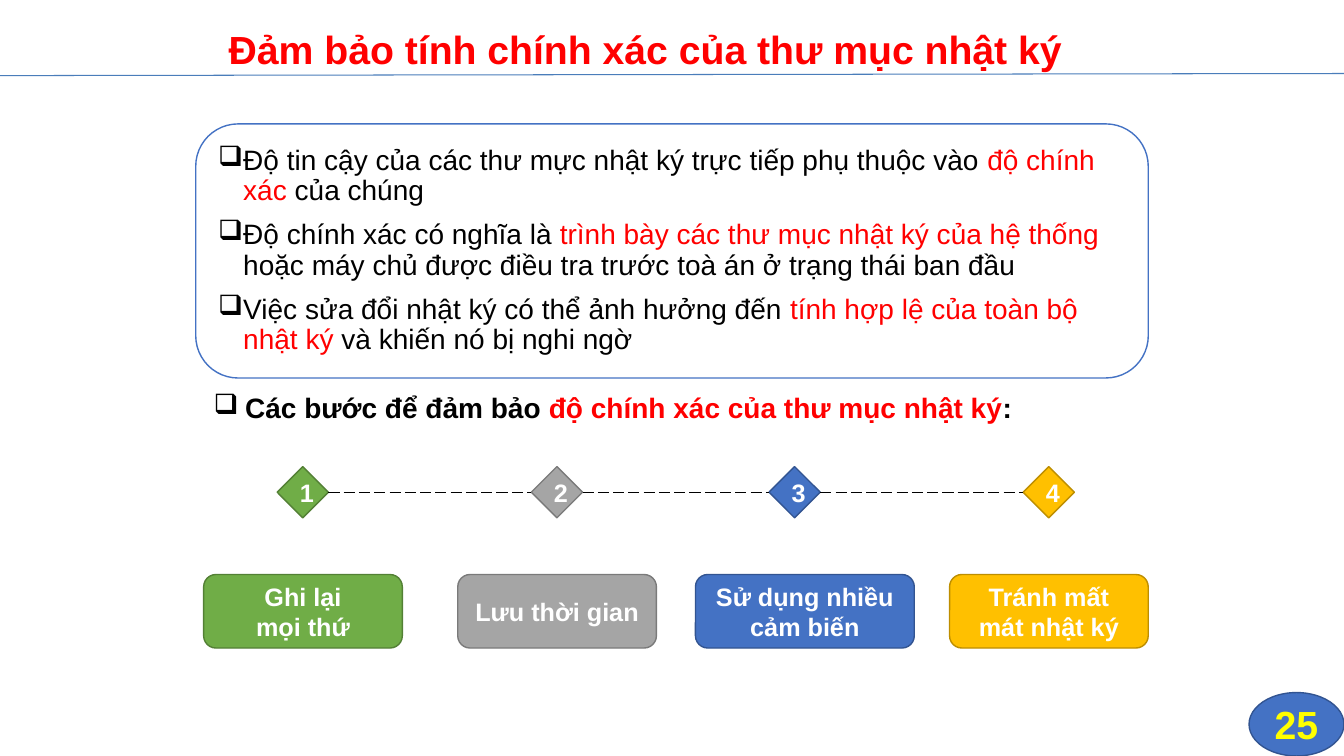
from dataclasses import dataclass
from itertools import pairwise

from lxml import etree
from pptx import Presentation
from pptx.dml.color import RGBColor
from pptx.enum.dml import MSO_LINE
from pptx.enum.shapes import MSO_CONNECTOR, MSO_SHAPE
from pptx.enum.text import MSO_ANCHOR, MSO_AUTO_SIZE, PP_ALIGN
from pptx.oxml.ns import qn
from pptx.util import Emu, Inches, Pt

ROUNDED, DIAMOND, OVAL = MSO_SHAPE.ROUNDED_RECTANGLE, MSO_SHAPE.DIAMOND, MSO_SHAPE.OVAL
STRAIGHT, LONG_DASH = MSO_CONNECTOR.STRAIGHT, MSO_LINE.LONG_DASH
LEFT, CENTER = PP_ALIGN.LEFT, PP_ALIGN.CENTER
TOP, MIDDLE = MSO_ANCHOR.TOP, MSO_ANCHOR.MIDDLE
GROW = MSO_AUTO_SIZE.SHAPE_TO_FIT_TEXT
LEFT_SIDE, RIGHT_SIDE = 1, 3

# The slide is a grid of 32 columns by 18 rows of square cells
COLUMNS, ROWS = 32, 18
CELL = Inches(7.5) / ROWS

FONT = "Arial"
BLACK, WHITE, RED, YELLOW = "000000", "FFFFFF", "FF0000", "FFFF00"
BLUE, DARK_BLUE, RULE_BLUE = "4472C4", "325491", "4A7DBA"


@dataclass(frozen=True)
class Area:
    column: float
    row: float
    columns: float
    rows: float


@dataclass(frozen=True)
class Span:
    text: str
    color: str = BLACK


@dataclass(frozen=True)
class Style:
    size: int
    bold: bool = True
    align: PP_ALIGN = LEFT
    anchor: MSO_ANCHOR = MIDDLE
    line_spacing: float = 1.0
    space_before: int = 0
    hanging: float = 0  # bullet indent in cells


@dataclass(frozen=True)
class Step:
    column: float
    columns: float
    lines: tuple[str, ...]
    fill: str
    border: str


TITLE = Style(28, line_spacing=0.9)
BODY = Style(20, bold=False, line_spacing=0.9, space_before=10, hanging=0.6)
HEADING = Style(20, anchor=TOP, hanging=0.75)
LABEL = Style(18, align=CENTER)
PAGE_NUMBER = Style(28, align=CENTER)

POINTS = [
    [Span("Độ tin cậy của các thư mực nhật ký trực tiếp phụ thuộc vào "),
     Span("độ chính xác", RED), Span(" của chúng")],
    [Span("Độ chính xác có nghĩa là "),
     Span("trình bày các thư mục nhật ký của hệ thống ", RED),
     Span("hoặc máy chủ được điều tra trước toà án ở trạng thái ban đầu")],
    [Span("Việc sửa đổi nhật ký có thể ảnh hưởng đến "),
     Span("tính hợp lệ của toàn bộ nhật ký", RED),
     Span(" và khiến nó bị nghi ngờ")],
]
STEPS_HEADING = [Span("Các bước để đảm bảo "),
                 Span("độ chính xác của thư mục nhật ký", RED), Span(":")]
STEPS = [
    Step(4.85, 4.73, ("Ghi lại", "mọi thứ"), "70AD47", "538035"),
    Step(10.9, 4.73, ("Lưu thời gian",), "A5A5A5", "7A7A7A"),
    Step(16.56, 5.21, ("Sử dụng nhiều cảm biến",), BLUE, DARK_BLUE),
    Step(22.61, 4.73, ("Tránh mất mát nhật ký",), "FFC000", "BD8E00"),
]
DIAMOND_OFFSET, DIAMOND_ROW, DIAMOND_SIZE = 1.75, 11.11, 1.22
CARD_ROW, CARD_ROWS = 13.68, 1.75


def cells(count: float) -> Emu:
    return Emu(round(count * CELL))


def color(value: str) -> RGBColor:
    return RGBColor.from_string(value)


def place(area: Area) -> tuple[Emu, ...]:
    return tuple(map(cells, (area.column, area.row, area.columns, area.rows)))


def add_bullet(para, hanging: float) -> None:
    properties = para._p.get_or_add_pPr()
    properties.set("marL", str(cells(hanging)))
    properties.set("indent", str(-cells(hanging)))
    etree.SubElement(properties, qn("a:buChar")).set("char", "❑")


def write(box, paragraphs: list[list[Span]], style: Style) -> None:
    frame = box.text_frame
    frame.word_wrap = True
    frame.vertical_anchor = style.anchor
    for index, spans in enumerate(paragraphs):
        para = frame.add_paragraph() if index else frame.paragraphs[0]
        para.alignment = style.align
        para.line_spacing = style.line_spacing
        if index:
            para.space_before = Pt(style.space_before)
        if style.hanging:
            add_bullet(para, style.hanging)
        for span in spans:
            run = para.add_run()
            run.text = span.text
            run.font.name = FONT
            run.font.size = Pt(style.size)
            run.font.bold = style.bold
            run.font.color.rgb = color(span.color)


def add_text(page, area: Area, paragraphs: list[list[Span]], style: Style):
    box = page.shapes.add_textbox(*place(area))
    write(box, paragraphs, style)
    return box


def add_box(shapes, kind: MSO_SHAPE, area: Area, fill: str, border: str,
            paragraphs: list[list[Span]], style: Style):
    box = shapes.add_shape(kind, *place(area))
    box.shadow.inherit = False
    box.fill.solid()
    box.fill.fore_color.rgb = color(fill)
    box.line.color.rgb = color(border)
    box.line.width = Pt(1)
    write(box, paragraphs, style)
    return box


def add_line(page, start: tuple[float, float], end: tuple[float, float],
             line_color: str, width: float):
    line = page.shapes.add_connector(STRAIGHT, *map(cells, start + end))
    line.line.color.rgb = color(line_color)
    line.line.width = Pt(width)
    etree.SubElement(line._element.spPr, qn("a:effectLst"))
    return line


def add_step(page, number: int, step: Step):
    """Draw a numbered diamond above its card and return the diamond."""
    shapes = page.shapes.add_group_shape().shapes
    diamond_area = Area(step.column + DIAMOND_OFFSET, DIAMOND_ROW, DIAMOND_SIZE, DIAMOND_SIZE)
    card_area = Area(step.column, CARD_ROW, step.columns, CARD_ROWS)
    diamond = add_box(shapes, DIAMOND, diamond_area, step.fill, step.border,
                      [[Span(str(number), WHITE)]], LABEL)
    add_box(shapes, ROUNDED, card_area, step.fill, step.border,
            [[Span(line, WHITE)] for line in step.lines], LABEL)
    return diamond


def main() -> None:
    deck = Presentation()
    deck.slide_width, deck.slide_height = cells(COLUMNS), cells(ROWS)
    page = deck.slides.add_slide(deck.slide_layouts[6])

    # Title, rule and page number
    add_text(page, Area(5.21, 0.31, 21.6, 1.85),
             [[Span("Đảm bảo tính chính xác của thư mục nhật ký", RED)]], TITLE)
    add_line(page, (0, 1.8), (COLUMNS, 1.75), RULE_BLUE, 0.75)
    add_box(page.shapes, OVAL, Area(29.74, 16.49, 2.26, 1.51), BLUE, DARK_BLUE,
            [[Span("25", YELLOW)]], PAGE_NUMBER)

    # Key points and the heading of the steps
    add_box(page.shapes, ROUNDED, Area(4.66, 2.95, 22.68, 6.05), WHITE, BLUE, POINTS, BODY)
    heading = add_text(page, Area(4.85, 9.19, 21.17, 1.06), [STEPS_HEADING], HEADING)
    heading.text_frame.auto_size = GROW

    # Steps, joined by dashed lines
    diamonds = [add_step(page, number, step) for number, step in enumerate(STEPS, 1)]
    for before, after in pairwise(diamonds):
        link = add_line(page, (0, 0), (0, 0), BLACK, 1)
        link.line.dash_style = LONG_DASH
        link.begin_connect(before, RIGHT_SIDE)
        link.end_connect(after, LEFT_SIDE)

    deck.save("out.pptx")


if __name__ == "__main__":
    main()
